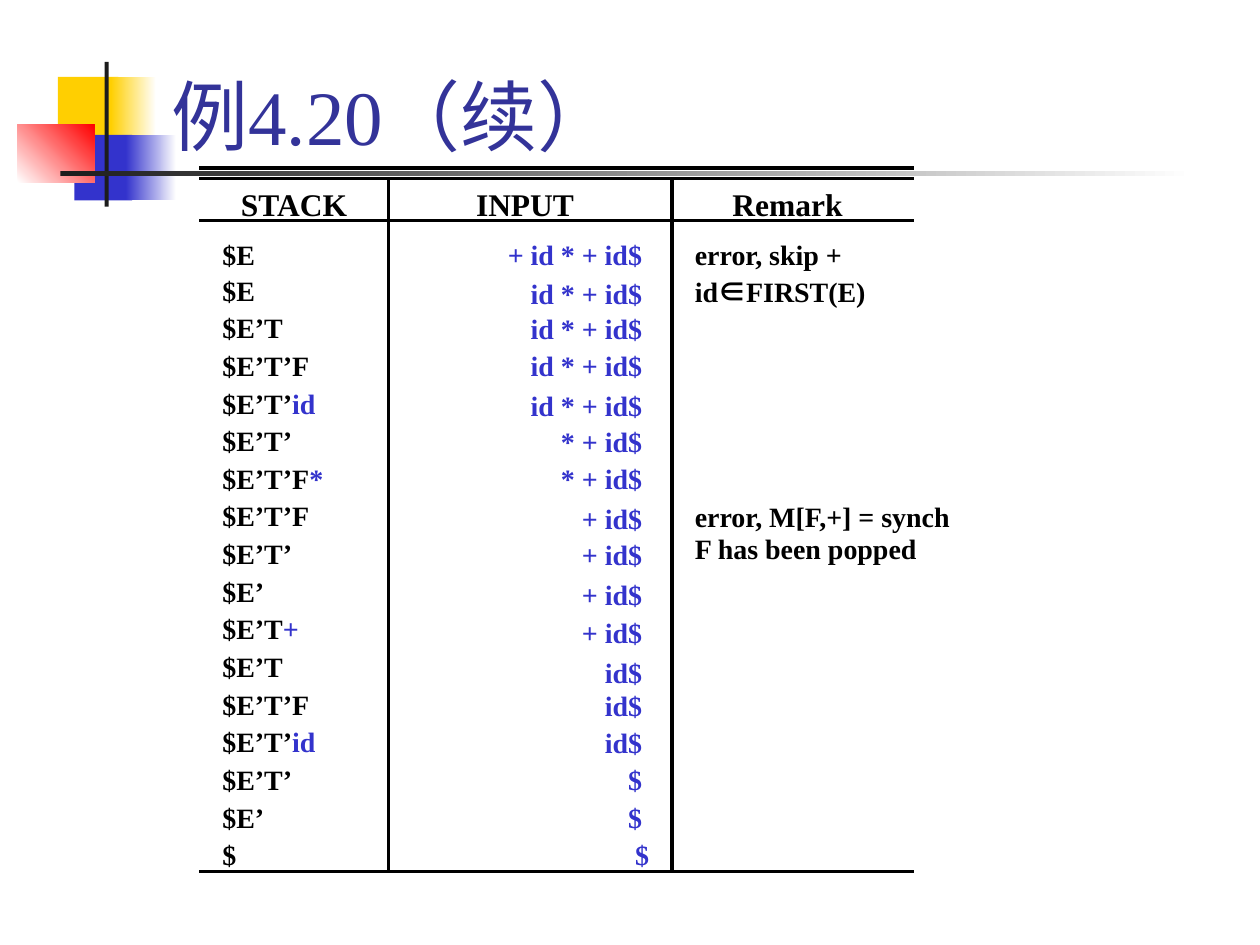
"""Build the parsing-trace slide of example 4.20 on a grid of twelfths of an inch."""
from dataclasses import dataclass
from typing import Optional

from lxml import etree
from pptx import Presentation
from pptx.dml.color import RGBColor
from pptx.enum.shapes import MSO_CONNECTOR, MSO_SHAPE
from pptx.enum.text import MSO_ANCHOR, MSO_AUTO_SIZE, PP_ALIGN
from pptx.oxml.ns import qn
from pptx.util import Emu, Inches, Pt

LEFT, CENTER, RIGHT = PP_ALIGN.LEFT, PP_ALIGN.CENTER, PP_ALIGN.RIGHT
BOTTOM = MSO_ANCHOR.BOTTOM
GROW = MSO_AUTO_SIZE.SHAPE_TO_FIT_TEXT
RECTANGLE = MSO_SHAPE.RECTANGLE
STRAIGHT = MSO_CONNECTOR.STRAIGHT
TITLE_ONLY = 5


@dataclass(frozen=True)
class Theme:
    latin: str = "Times New Roman"
    chinese: str = "Noto Sans CJK SC"
    ink: str = "000000"
    accent: str = "3333CC"
    title: str = "333399"
    yellow: str = "FFCF01"
    red: str = "FF0000"
    bar: str = "1C1C1C"
    paper: str = "FFFFFF"
    title_size: float = 44
    head_size: float = 18
    body_size: float = 16
    row_gap: float = 10
    rule_width: float = 2


@dataclass(frozen=True)
class Area:
    col: float
    row: float
    cols: float
    rows: float

    def emu(self) -> tuple[Emu, ...]:
        return tuple(grid(n) for n in (self.col, self.row, self.cols, self.rows))


@dataclass(frozen=True)
class Ornament:
    area: Area
    start: str
    end: Optional[str] = None
    angle: float = 0


@dataclass(frozen=True)
class Piece:
    text: str
    color: str
    font: str


@dataclass(frozen=True)
class Line:
    pieces: tuple[Piece, ...]
    spacing: Optional[float] = None


THEME = Theme()
ORNAMENTS = (
    Ornament(Area(5.52, 7.32, 5.76, 6.24), THEME.yellow),
    Ornament(Area(10.56, 7.32, 4.32, 6.24), THEME.yellow, THEME.paper),
    Ornament(Area(7.08, 12.84, 5.52, 6.24), THEME.accent),
    Ornament(Area(12, 12.84, 4.8, 6.24), THEME.accent, THEME.paper),
    Ornament(Area(1.68, 11.88, 7.32, 5.52), THEME.paper, THEME.red, 45),
    Ornament(Area(9.96, 5.88, 0.4, 13.8), THEME.bar),
    Ornament(Area(5.76, 16.32, 108, 0.4), THEME.bar, THEME.paper),
)
TITLE_AREA = Area(15.12, 0.96, 102.24, 15)
TABLE_LEFT, TABLE_RIGHT, TABLE_TOP, TABLE_BOTTOM = 19, 87, 17, 83
RULE_ROWS = (16, TABLE_TOP, 21, TABLE_BOTTOM)
DIVIDER_COLS = (64, 37)
HEADINGS = (("STACK", 20), ("INPUT", 42), ("Remark", 67))
STACK_AREA = Area(20, 22, 15, 61.5)
INPUT_AREA = Area(39, 22, 24, 61.5)
STACK = (
    ("$E", ""), ("$E", ""), ("$E’T", ""), ("$E’T’F", ""), ("$E’T’", "id"),
    ("$E’T’", ""), ("$E’T’F", "*"), ("$E’T’F", ""), ("$E’T’", ""),
    ("$E’", ""), ("$E’T", "+"), ("$E’T", ""), ("$E’T’F", ""),
    ("$E’T’", "id"), ("$E’T’", ""), ("$E’", ""), ("$", ""),
)
STACK_SPACING = (None, 0.5) + (0.6,) * 15
INPUT = (
    ("+ id * + id$ ",) + ("id * + id$ ",) * 4 + ("* + id$ ",) * 2
    + ("+ id$ ",) * 4 + ("id$ ",) * 3 + ("$ ",) * 2 + ("$",)
)
INPUT_SPACING = (None, 0.6, 0.5, 0.6, 0.7, 0.5, 0.6, 0.7, 0.5,
                 0.7, 0.6, 0.7, 0.4, 0.6, 0.6, 0.6, 0.6)


def grid(count: float) -> Emu:
    return Inches(count / 12)


def ink(text: str) -> Piece:
    return Piece(text, THEME.ink, THEME.latin)


def accent(text: str) -> Piece:
    return Piece(text, THEME.accent, THEME.latin)


REMARKS = (
    (Area(65, 47, 30, 4.4), (ink("error, M[F,+] = synch"),)),
    (Area(65, 50, 24, 4.4), (ink("F has been popped"),)),
    (Area(65, 22, 20, 4.4), (ink("error, skip +"),)),
    (Area(65, 25.6, 20, 4.4),
     (ink("id"), Piece("∈", THEME.ink, THEME.chinese), ink("FIRST(E)"))),
)


def style_run(run, piece: Piece, size: float, bold: bool) -> None:
    run.font.name = piece.font
    run.font.size = Pt(size)
    run.font.bold = bold
    run.font.color.rgb = RGBColor.from_string(piece.color)
    latin = run.font._element.find(qn("a:latin"))
    east_asian = etree.Element(qn("a:ea"), typeface=THEME.chinese)
    latin.addnext(east_asian)


def draw_ornament(slide, ornament: Ornament) -> None:
    block = slide.shapes.add_shape(RECTANGLE, *ornament.area.emu())
    block.shadow.inherit = False
    block.line.fill.background()
    if ornament.end is None:
        block.fill.solid()
        block.fill.fore_color.rgb = RGBColor.from_string(ornament.start)
        return
    block.fill.gradient()
    block.fill.gradient_angle = ornament.angle
    for stop, color in zip(block.fill.gradient_stops, (ornament.start, ornament.end)):
        stop.color.rgb = RGBColor.from_string(color)


def draw_title(slide, text: str) -> None:
    title = slide.shapes.title
    title.element.getparent().append(title.element)
    title.left, title.top, title.width, title.height = TITLE_AREA.emu()
    title.text_frame.text = text
    title.text_frame.vertical_anchor = BOTTOM
    heading = title.text_frame.paragraphs[0]
    heading.alignment = LEFT
    style_run(heading.runs[0], Piece(text, THEME.title, THEME.latin),
              THEME.title_size, False)


def draw_rule(slide, col: float, row: float, end_col: float, end_row: float) -> None:
    rule = slide.shapes.add_connector(
        STRAIGHT, grid(col), grid(row), grid(end_col), grid(end_row))
    rule.line.color.rgb = RGBColor.from_string(THEME.ink)
    rule.line.width = Pt(THEME.rule_width)
    etree.SubElement(rule.element.spPr, qn("a:effectLst"))


def draw_lines(slide, area: Area, lines: list[Line], align: PP_ALIGN = LEFT,
               size: float = THEME.body_size) -> None:
    frame = slide.shapes.add_textbox(*area.emu()).text_frame
    frame.word_wrap = True
    frame.auto_size = GROW
    for index, line in enumerate(lines):
        paragraph = frame.add_paragraph() if index else frame.paragraphs[0]
        paragraph.alignment = align
        if index:
            paragraph.space_before = Pt(THEME.row_gap)
        if line.spacing is not None:
            paragraph.line_spacing = line.spacing
        for piece in line.pieces:
            run = paragraph.add_run()
            run.text = piece.text
            style_run(run, piece, size, True)


def main() -> None:
    deck = Presentation()
    deck.slide_width, deck.slide_height = Inches(10), Inches(7.5)
    slide = deck.slides.add_slide(deck.slide_layouts[TITLE_ONLY])
    for ornament in ORNAMENTS:
        draw_ornament(slide, ornament)
    draw_title(slide, "例4.20（续）")
    for row in RULE_ROWS:
        draw_rule(slide, TABLE_LEFT, row, TABLE_RIGHT, row)
    for col in DIVIDER_COLS:
        draw_rule(slide, col, TABLE_TOP, col, TABLE_BOTTOM)
    draw_lines(slide, STACK_AREA, [
        Line((ink(symbols), accent(match)) if match else (ink(symbols),), spacing)
        for (symbols, match), spacing in zip(STACK, STACK_SPACING)])
    draw_lines(slide, INPUT_AREA, [
        Line((accent(rest),), spacing) for rest, spacing in zip(INPUT, INPUT_SPACING)], RIGHT)
    for heading, col in HEADINGS:
        draw_lines(slide, Area(col, TABLE_TOP, 16, 4.8), [Line((ink(heading),))],
                   CENTER, THEME.head_size)
    for area, pieces in REMARKS:
        draw_lines(slide, area, [Line(pieces)])
    deck.save("out.pptx")


if __name__ == "__main__":
    main()
